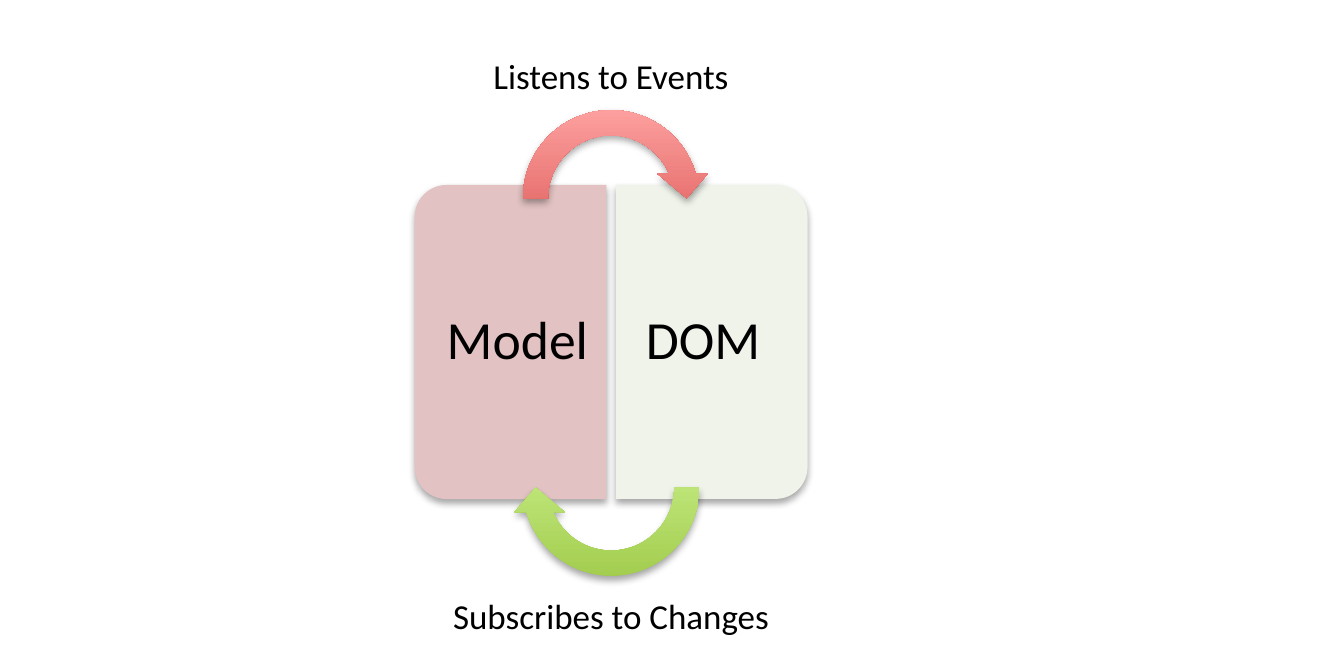
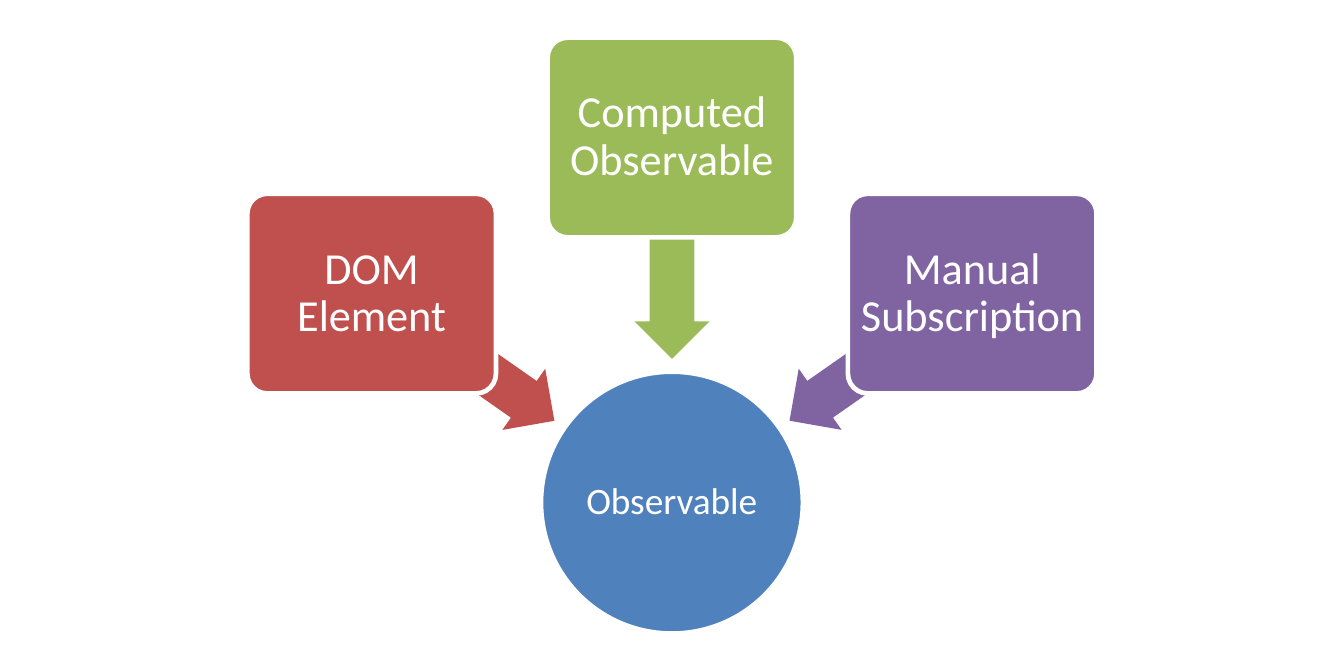
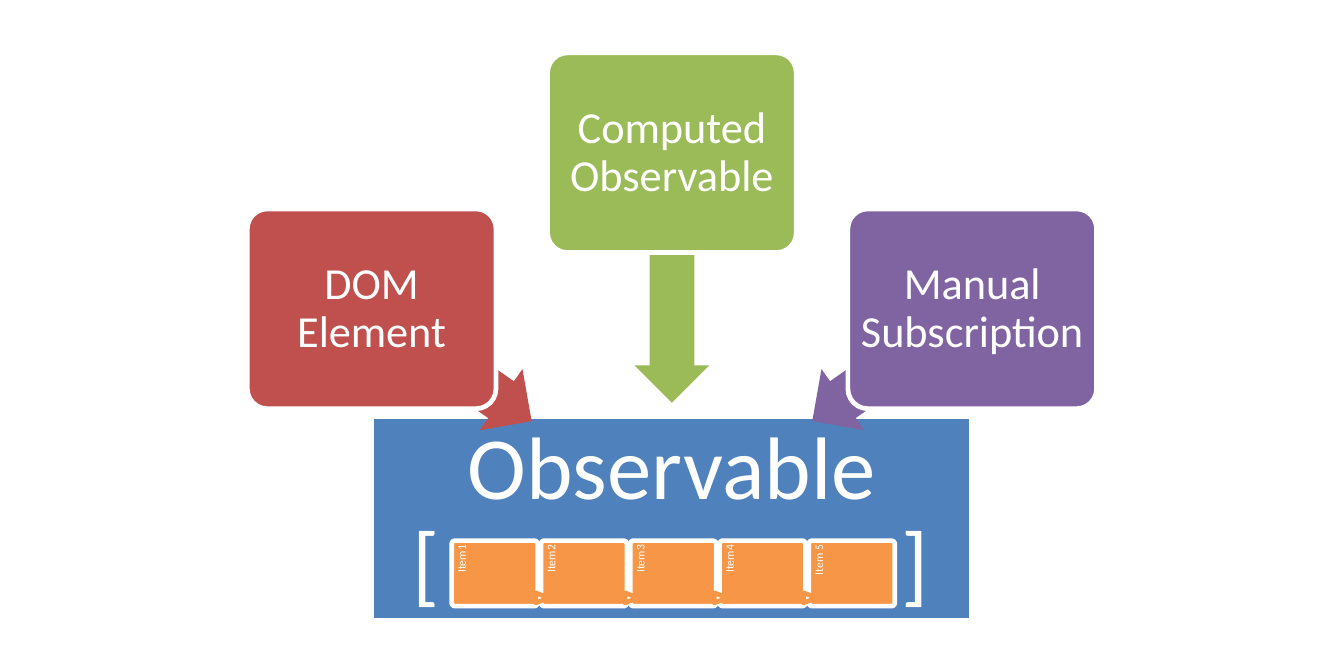
from lxml.etree import SubElement
from pptx import Presentation
from pptx.dml.color import RGBColor
from pptx.enum.shapes import MSO_SHAPE
from pptx.enum.text import MSO_ANCHOR, PP_ALIGN
from pptx.oxml.ns import qn
from pptx.util import Cm, Pt

FONT = "Calibri"
BLACK, WHITE = "000000", "FFFFFF"
BLUE, RED, GREEN, PURPLE, ORANGE = "4F81BD", "C0504D", "9BBB59", "8064A2", "F79646"
MIDDLE = 10.16  # horizontal centre of the slide, cm


def rgb(value):
    return RGBColor.from_string(value)


class Deck:
    """Holds the style and the current slide; places elements by their centre, in cm."""

    def __init__(self, width, height):
        self.prs = Presentation()
        self.prs.slide_width, self.prs.slide_height = Cm(width), Cm(height)

    def new_slide(self):
        self.s = self.prs.slides.add_slide(self.prs.slide_layouts[6])

    def shape(self, kind, cx, cy, w, h, fill=None, line=None, rotation=0, adjust=()):
        sp = self.s.shapes.add_shape(kind, Cm(cx - w / 2), Cm(cy - h / 2), Cm(w), Cm(h))
        sp.shadow.inherit = False
        sp.rotation = rotation
        for i, value in enumerate(adjust):
            sp.adjustments[i] = value
        if fill:
            sp.fill.solid()
            sp.fill.fore_color.rgb = rgb(fill)
        if line:
            sp.line.color.rgb = rgb(line)
            sp.line.width = Pt(2)
        else:
            sp.line.fill.background()
        return sp

    def set_text(self, sp, text, size, color=WHITE, align=PP_ALIGN.CENTER, margin=0.08,
                 spacing=0.9, wrap=True):
        tf = sp.text_frame
        tf.word_wrap = wrap
        tf.vertical_anchor = MSO_ANCHOR.MIDDLE
        tf.margin_left = tf.margin_right = tf.margin_top = tf.margin_bottom = Cm(margin)
        tf.text = text
        for p in tf.paragraphs:
            p.alignment = align
            p.line_spacing = spacing
            for r in p.runs:
                r.font.name, r.font.size = FONT, Pt(size)
                r.font.color.rgb = rgb(color)
        return tf

    def text(self, cx, cy, w, h, text, size, **style):
        sp = self.s.shapes.add_textbox(Cm(cx - w / 2), Cm(cy - h / 2), Cm(w), Cm(h))
        return self.set_text(sp, text, size, BLACK, **style)

    def soft_shadow(self, sp):
        effects = sp._element.spPr.find(qn("a:effectLst"))
        shadow = SubElement(effects, qn("a:outerShdw"), blurRad="40000", dist="23000",
                            dir="5400000", rotWithShape="0")
        color = SubElement(shadow, qn("a:srgbClr"), val=BLACK)
        SubElement(color, qn("a:alpha"), val="35000")

    def half_panel(self, cx, cy, fill, rotation):
        sp = self.shape(MSO_SHAPE.ROUND_2_SAME_RECTANGLE, cx, cy, 4.75, 2.9, fill,
                        rotation=rotation, adjust=(0.167, 0))
        self.soft_shadow(sp)

    def loop_arrow(self, cx, cy, dark, light, rotation):
        sp = self.shape(MSO_SHAPE.CIRCULAR_ARROW, cx, cy, 3.05, 3.05, rotation=rotation,
                        adjust=(0.125, 11.42, 204.58, 108, 0.125))
        sp.fill.gradient()
        sp.fill.gradient_angle = 90
        for stop, color, position in zip(sp.fill.gradient_stops, (dark, light), (0, 1)):
            stop.color.rgb = rgb(color)
            stop.position = position
        sp._element.spPr.find(qn("a:gradFill")).set("rotWithShape", "0")
        self.soft_shadow(sp)

    def subscribers(self, top, side_arrow, middle_arrow):
        """Three boxes with arrows; an arrow is (distance from middle, y, length)."""
        rows = (("DOM Element", RED, -1, 215, side_arrow),
                ("Computed Observable", GREEN, 0, 270, middle_arrow),
                ("Manual Subscription", PURPLE, 1, 325, side_arrow))
        for label, color, side, angle, (away, y, length) in rows:
            self.shape(MSO_SHAPE.LEFT_ARROW, MIDDLE + side * away, y, length, 1.13, color,
                       rotation=angle, adjust=(0.6, 0.5))
            box = self.shape(MSO_SHAPE.ROUNDED_RECTANGLE, MIDDLE + side * 4.54,
                             top + 1.51 + abs(side) * 2.36, 3.76, 3.02, color, WHITE,
                             adjust=(0.1,))
            self.set_text(box, label, 19)

    def item(self, cx, cy, label):
        sp = self.shape(MSO_SHAPE.ROUNDED_RECTANGLE, cx, cy, 1.3, 0.99, ORANGE, WHITE,
                        adjust=(0.05,))
        tf = self.set_text(sp, label, 5, align=PP_ALIGN.RIGHT, margin=0.05)
        tf.vertical_anchor = MSO_ANCHOR.TOP
        tf._txBody.bodyPr.set("vert", "vert270")

    def tab_stops(self, p, *positions):
        p.alignment = PP_ALIGN.LEFT
        tabs = SubElement(p._p.get_or_add_pPr(), qn("a:tabLst"))
        for position in positions:
            SubElement(tabs, qn("a:tab"), pos=str(Cm(position)), algn="l")


deck = Deck(20.32, 10.16)

# Slide 1: model and DOM keep each other up to date
deck.new_slide()
axis, level = 9.24, 5.17
for name, fill, side, rotation, text_x in (("Model", "E2C2C2", -1, 270, 7.89),
                                           ("DOM", "EFF3EA", 1, 90, 10.79)):
    deck.half_panel(axis + side * 1.52, level, fill, rotation)
    tf = deck.text(text_x, level, 2.77, 4.47, name, 23, align=PP_ALIGN.LEFT, margin=0.25)
    if side > 0:
        tf.margin_left = Cm(0.36)
deck.loop_arrow(axis, 3, "D1403C", "FFA6A5", 0)
deck.loop_arrow(axis, 7.37, "A0CA4A", "DAFFA5", 180)
for caption, y, width in (("Listens to Events", 1.14, 4.06),
                          ("Subscribes to Changes", 9.3, 5.28)):
    deck.text(axis, y, width, 0.86, caption, 15, margin=0.1, spacing=1.0, wrap=False)

# Slide 2: subscribers of a single observable
deck.new_slide()
circle = deck.shape(MSO_SHAPE.OVAL, MIDDLE, 7.6, 3.96, 3.96, BLUE, WHITE)
deck.set_text(circle, "Observable", 16, margin=0.03)
deck.subscribers(0.57, side_arrow=(3.15, 5.4, 3.35), middle_arrow=(0, 3.75, 3.35))

# Slide 3: subscribers of an observable list
deck.new_slide()
band = deck.shape(MSO_SHAPE.RECTANGLE, MIDDLE, 7.84, 9.07, 3.07, BLUE, WHITE)
tf = deck.set_text(band, "Observable\n\t[\t]", 38)
deck.tab_stops(tf.paragraphs[1], 0.53, 7.92)
deck.subscribers(0.8, side_arrow=(3.33, 5.52, 2.95), middle_arrow=(0, 4.2, 3.78))

# Items inside the brackets, with a small mark at each join
first, step = 7.48, 1.35
for i, label in enumerate(("Item1", "Item2", "Item3", "Item4", "Item 5")):
    x = first + i * step
    deck.item(x, 8.67, label)
    if i:
        deck.shape(MSO_SHAPE.FLOWCHART_EXTRACT, x - 0.63, 9.04, 0.15, 0.2, WHITE, ORANGE,
                   rotation=90)

deck.prs.save("out.pptx")
